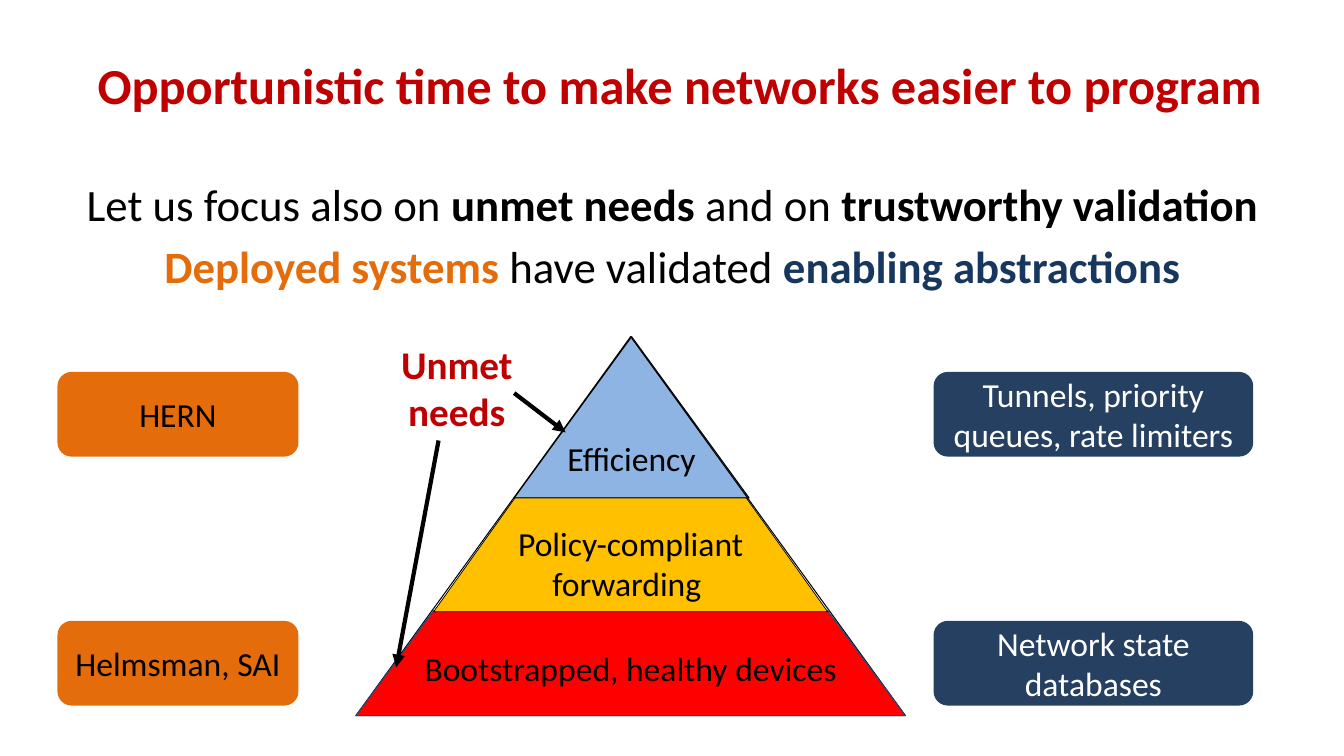
from lxml import etree
from pptx import Presentation
from pptx.dml.color import RGBColor
from pptx.enum.shapes import MSO_CONNECTOR, MSO_SHAPE
from pptx.enum.text import MSO_ANCHOR, PP_ALIGN
from pptx.oxml.ns import qn
from pptx.util import Inches, Pt

TRIANGLE = MSO_SHAPE.ISOSCELES_TRIANGLE
TRAPEZOID = MSO_SHAPE.TRAPEZOID
RECTANGLE = MSO_SHAPE.RECTANGLE
ROUNDED = MSO_SHAPE.ROUNDED_RECTANGLE
STRAIGHT = MSO_CONNECTOR.STRAIGHT
CENTER = PP_ALIGN.CENTER
TOP, MIDDLE = MSO_ANCHOR.TOP, MSO_ANCHOR.MIDDLE

FONT = "Calibri"
BLACK, WHITE, CRIMSON = "000000", "FFFFFF", "C00000"
ORANGE, NAVY, DARK_BLUE = "E46C0A", "254061", "17375E"


def color(value):
    return RGBColor.from_string(value)


def write(frame, paragraphs, size, anchor=MIDDLE, space_before=0):
    """Fill a text frame; each paragraph is a list of (text, color, bold)."""
    frame.word_wrap = True
    frame.vertical_anchor = anchor
    for index, spans in enumerate(paragraphs):
        para = frame.paragraphs[0] if index == 0 else frame.add_paragraph()
        para.alignment = CENTER
        para.space_before = Pt(space_before)
        for text, ink, bold in spans:
            span = para.add_run()
            span.text = text
            span.font.name = FONT
            span.font.size = Pt(size)
            span.font.bold = bold
            span.font.color.rgb = color(ink)


def add_text(page, box, paragraphs, size, **options):
    shape = page.shapes.add_textbox(*map(Inches, box))
    write(shape.text_frame, paragraphs, size, **options)


def add_block(page, kind, box, fill=None, line=None, weight=0.75):
    shape = page.shapes.add_shape(kind, *map(Inches, box))
    shape.shadow.inherit = False
    if fill:
        shape.fill.solid()
        shape.fill.fore_color.rgb = color(fill)
    else:
        shape.fill.background()
    if line:
        shape.line.color.rgb = color(line)
        shape.line.width = Pt(weight)
    else:
        shape.line.fill.background()
    return shape


def add_arrow(page, start, end):
    arrow = page.shapes.add_connector(STRAIGHT, *map(Inches, start + end))
    arrow.line.color.rgb = color(BLACK)
    arrow.line.width = Pt(3)
    properties = arrow._element.spPr
    etree.SubElement(properties.find(qn("a:ln")), qn("a:tailEnd"), type="triangle")
    etree.SubElement(properties, qn("a:effectLst"))


def add_pyramid(page, left, top, width, height):
    # Tip
    tip = add_block(page, TRIANGLE, (left + 1.57, top, 2.33, 1.6), "8EB4E3", BLACK)
    write(tip.text_frame, [[("Efficiency", BLACK, False)]], 24)
    tip.text_frame.word_wrap = False
    for side in ("left", "right", "top", "bottom"):
        setattr(tip.text_frame, f"margin_{side}", 0)

    # Outline around all levels
    add_block(page, TRIANGLE, (left, top, width, height), line=BLACK)

    # Lower levels: inset, offset, height, slant, fill, line, weight, text
    levels = [
        (0, 2.72, 1.04, 0.74, "FF0000", "1F497D", 0.75,
         "Bootstrapped, healthy devices"),
        (0.77, 1.6, 1.13, 0.715, "FFC000", BLACK, 0.5,
         "Policy-compliant forwarding "),
    ]
    for inset, offset, depth, slant, fill, line, weight, text in levels:
        box = (left + inset, top + offset, width - 2 * inset, depth)
        level = add_block(page, TRAPEZOID, box, fill, line, weight)
        level.adjustments[0] = slant
        write(level.text_frame, [[(text, BLACK, False)]], 24)


def add_unmet_needs(page, left, top, width, height):
    label = add_block(page, RECTANGLE, (left, top, width, height), WHITE)
    write(label.text_frame, [[("Unmet needs", CRIMSON, True)]], 28, anchor=TOP)
    bottom = top + height
    add_arrow(page, (left + 0.71, bottom), (left + 0.29, bottom + 2.25))
    add_arrow(page, (left + 1.46, top + 0.57), (left + 1.97, top + 0.96))


def add_cards(page, left, width, fill, ink, texts):
    """Rounded cards beside the tip and the base of the pyramid."""
    for row, text in enumerate(texts):
        card = add_block(page, ROUNDED, (left, 3.69 + row * 2.47, width, 0.84), fill)
        write(card.text_frame, [[(text, ink, False)]], 24)


def build_page(page):
    # Title and message
    title = "Opportunistic time to make networks easier to program"
    add_text(page, (0.39, 0.08, 12.71, 1.52), [[(title, CRIMSON, True)]], 36)
    message = [
        [("Let us focus also on ", BLACK, False), ("unmet needs", BLACK, True),
         (" and on ", BLACK, False), ("trustworthy validation", BLACK, True)],
        [("Deployed systems", ORANGE, True), (" have validated ", BLACK, False),
         ("enabling abstractions", DARK_BLUE, True)],
    ]
    add_text(page, (0.67, 1.7, 12, 1.29), message, 32, anchor=TOP, space_before=6)

    # Pyramid with its callout
    add_pyramid(page, 3.53, 3.34, 5.45, 3.76)
    add_unmet_needs(page, 3.64, 3.33, 1.78, 1.04)

    # Systems on the left, abstractions on the right
    add_cards(page, 0.57, 2.39, ORANGE, BLACK, ["HERN", "Helmsman, SAI"])
    add_cards(page, 9.26, 3.17, NAVY, WHITE,
              ["Tunnels, priority queues, rate limiters", "Network state databases"])


def main():
    deck = Presentation()
    deck.slide_width, deck.slide_height = Inches(13.33), Inches(7.5)
    build_page(deck.slides.add_slide(deck.slide_layouts[6]))
    deck.save("out.pptx")


if __name__ == "__main__":
    main()
